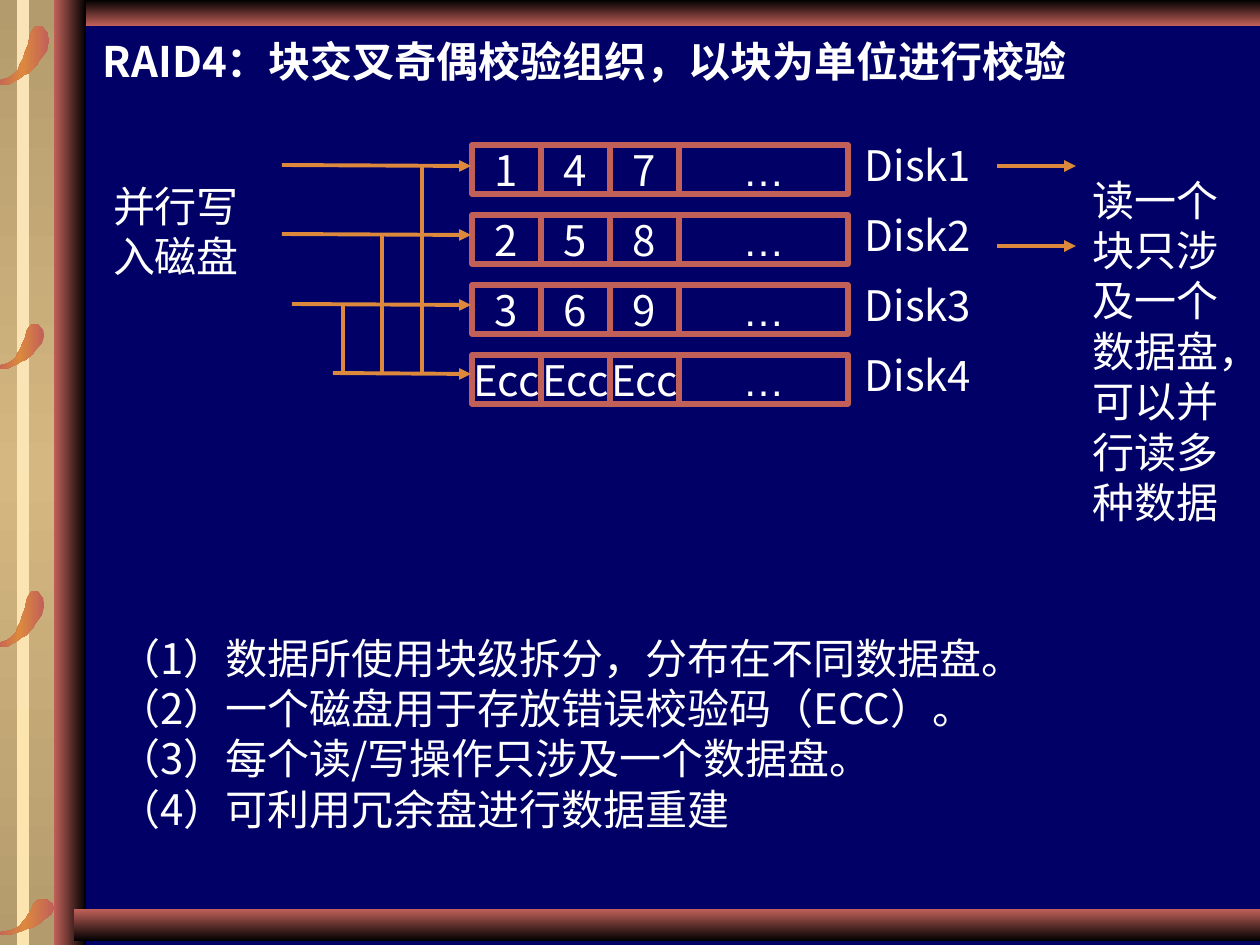
from lxml import etree
from pptx import Presentation
from pptx.dml.color import RGBColor
from pptx.enum.shapes import MSO_CONNECTOR, MSO_SHAPE
from pptx.enum.text import MSO_ANCHOR, MSO_AUTO_SIZE, PP_ALIGN
from pptx.oxml import parse_xml
from pptx.oxml.ns import nsdecls, qn
from pptx.util import Pt

PX = 914400 / 126
COLORS = {"navy": "000066", "white": "FFFFFF", "black": "000000", "brick": "C16059",
          "orange": "DC893E", "tan": "B49B6D", "gold": "D5B781", "cream": "FAE3B7",
          "butter": "FBE4AE"}
CJK = "Noto Sans CJK SC"


def px(*values):
    return [round(value * PX) for value in values]


def write(shape, lines, font=CJK, align=PP_ALIGN.LEFT, anchor=MSO_ANCHOR.MIDDLE,
          inset=(0, 0), wrap=True, bold=False):
    """Fill a shape with white 24 pt paragraphs, free of bullets and extra spacing."""
    frame = shape.text_frame
    frame.auto_size = MSO_AUTO_SIZE.NONE
    frame.word_wrap = wrap
    frame.vertical_anchor = anchor
    frame.margin_left = frame.margin_right = px(inset[0])[0]
    frame.margin_top = frame.margin_bottom = px(inset[1])[0]
    frame.text = "\n".join(lines)
    for para in frame.paragraphs:
        para.alignment = align
        para.space_before = Pt(0)
        props = para._p.get_or_add_pPr()
        props.set("marL", "0")
        props.set("indent", "0")
        etree.SubElement(props, qn("a:buNone"))
        para.font.name = font
        para.font.size = Pt(24)
        para.font.bold = bold
        para.font.color.rgb = RGBColor.from_string(COLORS["white"])


deck = Presentation()
deck.slide_width, deck.slide_height = px(1260, 945)
page = deck.slides.add_slide(deck.slide_layouts[1])
shapes = page.shapes
page.background.fill.solid()
page.background.fill.fore_color.rgb = RGBColor.from_string(COLORS["navy"])

# Frame: gradient bars and leaves, from back to front
LEAF_SIZE = (54, 59)
LEAF = [(0, 55), (0, 54), (6, 54), (9, 53), (13, 52), (16, 50), (19, 48), (23, 44), (25, 38),
        (28, 33), (30, 26), (33, 19), (34, 14), (35, 9), (37, 5), (39, 2), (41, 0), (45, 0),
        (48, 1), (50, 4), (53, 7), (54, 13), (54, 17), (52, 25), (48, 30), (44, 35), (42, 39),
        (38, 43), (34, 47), (29, 49), (24, 53), (20, 55), (15, 58), (9, 59), (6, 59), (0, 57)]
leaf_colors = ("brick", "orange", "brick")
decor = [
    ("bar", (84, 0, 1176, 26), 90, ("black", "brick")),
    ("bar", (0, 0, 69, 945), 90, ("tan", "gold", "tan")),
    ("bar", (17, 0, 12, 945), 90, ("cream", "butter")),
    ("leaf", (-5, 899, 59, 36), 0, leaf_colors),
    ("bar", (54, 0, 32, 945), 0, ("brick", "black")),
    ("leaf", (-5, 591, 49, 56), 0, leaf_colors),
    ("leaf", (-5, 324, 49, 45), 0, leaf_colors),
    ("leaf", (-5, 26, 54, 59), 0, leaf_colors),
    ("bar", (74, 909, 1186, 32), 90, ("brick", "black")),
]
for kind, (left, top, width, height), angle, names in decor:
    if kind == "bar":
        piece = shapes.add_shape(MSO_SHAPE.RECTANGLE, *px(left, top, width, height))
    else:
        outline = [px(left + x * width / LEAF_SIZE[0], top + y * height / LEAF_SIZE[1])
                   for x, y in LEAF]
        builder = shapes.build_freeform(*outline[0])
        builder.add_line_segments(outline[1:], close=True)
        piece = builder.convert_to_shape()
    piece.shadow.inherit = False
    piece.line.fill.background()
    stops = "".join(
        f'<a:gs pos="{100000 * i // (len(names) - 1)}"><a:srgbClr val="{COLORS[name]}"/></a:gs>'
        for i, name in enumerate(names))
    gradient = parse_xml(f'<a:gradFill {nsdecls("a")} rotWithShape="1"><a:gsLst>{stops}</a:gsLst>'
                         f'<a:lin ang="{angle * 60000}" scaled="0"/></a:gradFill>')
    piece._element.spPr.find(qn("a:ln")).addprevious(gradient)

# Title and list
title = shapes.title
title.left, title.top, title.width, title.height = px(103, 35, 1092, 50)
write(title, ["RAID4：块交叉奇偶校验组织，以块为单位进行校验"], anchor=MSO_ANCHOR.TOP, bold=True)

body = page.placeholders[1]
body.left, body.top, body.width, body.height = px(105, 626, 1101, 214)
write(body, ["（1）数据所使用块级拆分，分布在不同数据盘。",
             "（2）一个磁盘用于存放错误校验码（ECC）。",
             "（3）每个读/写操作只涉及一个数据盘。",
             "（4）可利用冗余盘进行数据重建"], anchor=MSO_ANCHOR.TOP, inset=(13, 6))

# Side notes
for note, place, align in [
        ("并行写入磁盘", (113, 180, 159, 101), PP_ALIGN.LEFT),
        ("读一个块只涉及一个数据盘，可以并行读多种数据", (1076, 174, 159, 353), PP_ALIGN.CENTER)]:
    write(shapes.add_textbox(*px(*place)), [note], "Arial", align)

# Disks: three blocks and a remainder in each row
ROW_TOP, ROW_STEP, BLOCK_LEFT, BLOCK_WIDTH = 145, 70, 472, 69
disks = ["147", "258", "369", ["Ecc"] * 3]
for row, blocks in enumerate(disks):
    top = ROW_TOP + row * ROW_STEP
    for column, block in enumerate([*blocks, "…"]):
        rest = block == "…"
        cell = shapes.add_shape(MSO_SHAPE.RECTANGLE, *px(
            BLOCK_LEFT + column * BLOCK_WIDTH, top, 169 if rest else BLOCK_WIDTH, 49))
        cell.shadow.inherit = False
        cell.fill.background()
        cell.line.color.rgb = RGBColor.from_string(COLORS["brick"])
        cell.line.width = Pt(3)
        write(cell, [block], "Arial" if rest else CJK, PP_ALIGN.CENTER,
              inset=(13, 6), wrap=False)
    label = shapes.add_textbox(*px(858, top, 120, 40))
    write(label, [f"Disk{row + 1}"], align=PP_ALIGN.CENTER, inset=(13, 6), wrap=False)

# Read arrows, write arrows, then the links down to the parity disk
links = [(997, y, 1076, y, True) for y in (166, 246)]
write_rows = [(282, 165, 422), (282, 234, 382), (292, 304, 343), (333, 373, None)]
links += [(start, y, 471, y + 1, True) for start, y, _ in write_rows]
links += [(drop, 373, drop, y, False) for _, y, drop in write_rows if drop]
for x1, y1, x2, y2, arrow in links:
    link = shapes.add_connector(MSO_CONNECTOR.STRAIGHT, *px(x1, y1, x2, y2))
    link.line.color.rgb = RGBColor.from_string(COLORS["orange"])
    link.line.width = Pt(2.25)
    if arrow:
        etree.SubElement(link.line._get_or_add_ln(), qn("a:tailEnd"), type="triangle")
    etree.SubElement(link._element.spPr, qn("a:effectLst"))

deck.save("out.pptx")
